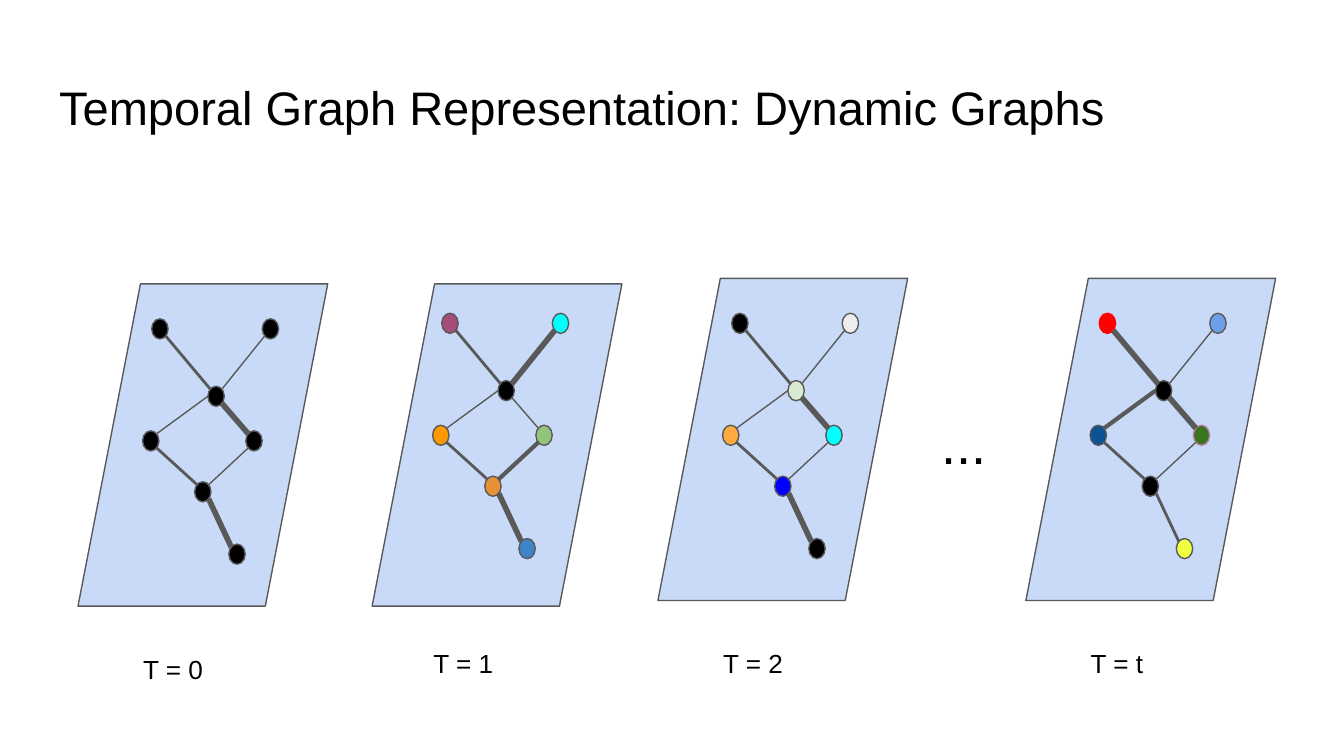
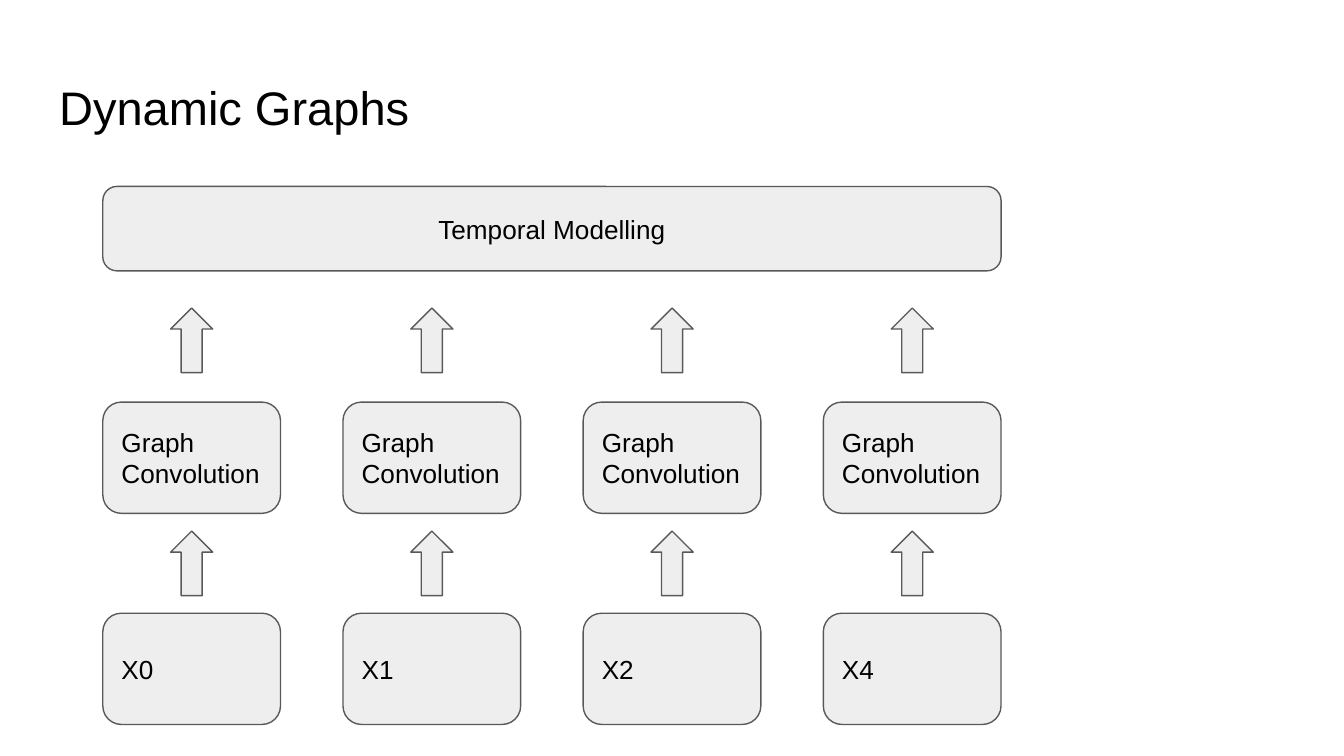
"""Build two slides on dynamic graphs: snapshots over time and the model stack."""
import lxml.etree
import pptx
import pptx.dml.color
import pptx.enum.shapes
import pptx.enum.text
import pptx.oxml.ns
import pptx.util

Pt = pptx.util.Pt
SHAPE = pptx.enum.shapes.MSO_SHAPE
ALIGN = pptx.enum.text.PP_ALIGN
ANCHOR = pptx.enum.text.MSO_ANCHOR
FIT = pptx.enum.text.MSO_AUTO_SIZE

COLORS = {
    "text": "000000", "line": "595959", "panel": "C9DAF8", "box": "EEEEEE",
    "black": "000000", "plum": "A64D79", "cyan": "00FFFF", "orange": "FF9900",
    "copper": "E69138", "green": "93C47D", "steel": "3D85C6", "grey": "EEEEEE",
    "amber": "FFAB40", "mint": "D9EAD3", "blue": "0000FF", "red": "FF0000",
    "sky": "6D9EEB", "navy": "0B5394", "forest": "38761D", "pink": "C27BA0",
    "yellow": "EEFF41",
}
FRAME = {"word_wrap": True, "margin_left": Pt(7.2), "margin_right": Pt(7.2),
         "margin_top": Pt(7.2), "margin_bottom": Pt(7.2)}

NODE_W, NODE_H = 8.8, 10.8
NODES = [(0, 0), (59.2, 0), (-4.9, 60), (30.1, 36.1), (23, 87.3), (50.4, 60), (41.3, 120.7)]
SITES = {"tl": (0.15, 0.15), "tr": (0.85, 0.15), "bl": (0.15, 0.85),
         "br": (0.85, 0.85), "left": (0, 0.5)}
EDGES = [(0, "br", 3, "tl"), (3, "br", 5, "tl"), (3, "tr", 1, "bl"), (3, "left", 2, "tr"),
         (2, "br", 4, "tl"), (5, "bl", 4, "tr"), (4, "br", 6, "tl")]
SNAPSHOTS = [
    ("T = 0", (41.8, 152.1), (81.3, 170.8), ["black"] * 7,
     [1.5, 3, 0.75, 0.75, 1.5, 0.75, 3], {}),
    ("T = 1", (199.4, 152.1), (236.7, 167.8),
     ["plum", "cyan", "orange", "black", "copper", "green", "steel"],
     [1.5, 0.75, 3, 0.75, 1.5, 2.25, 3], {}),
    ("T = 2", (352.5, 149.1), (392, 167.8),
     ["black", "grey", "amber", "mint", "blue", "cyan", "black"],
     [1.5, 3, 0.75, 0.75, 1.5, 0.75, 3], {}),
    ("T = t", (549.6, 149.1), (588.9, 167.8),
     ["red", "sky", "navy", "black", "black", "forest", "yellow"],
     [3, 3, 0.75, 2.25, 1.5, 0.75, 1.5], {0: "red", 5: "pink"}),
]


def rgb(name):
    return pptx.dml.color.RGBColor.from_string(COLORS[name])


def assign(obj, values):
    for name, value in values.items():
        setattr(obj, name, value)


class Deck:
    """Hold the shared style and the current slide, and draw its elements."""

    def __init__(self, width, height):
        self.prs = pptx.Presentation()
        assign(self.prs, {"slide_width": Pt(width), "slide_height": Pt(height)})

    def slide(self, title):
        self.s = self.prs.slides.add_slide(self.prs.slide_layouts[5])
        self.shapes = self.s.shapes
        sp = self.s.shapes.title
        assign(sp, {"left": Pt(24.5), "top": Pt(35), "width": Pt(671), "height": Pt(45.1)})
        self.set_text(sp, title, 25.2, anchor=ANCHOR.TOP)

    def group(self):
        self.shapes = self.s.shapes.add_group_shape().shapes

    def ungroup(self):
        self.shapes = self.s.shapes

    def set_text(self, sp, text, size=14, align=ALIGN.LEFT, anchor=ANCHOR.MIDDLE, fit=FIT.NONE):
        tf = sp.text_frame
        assign(tf, {**FRAME, "vertical_anchor": anchor, "auto_size": fit})
        p = tf.paragraphs[0]
        p.alignment = align
        r = p.add_run()
        r.text = text
        assign(r.font, {"name": "Arial", "size": Pt(size)})
        r.font.color.rgb = rgb("text")

    def shape(self, kind, x, y, w, h, fill, line="line"):
        sp = self.shapes.add_shape(kind, Pt(x), Pt(y), Pt(w), Pt(h))
        sp.shadow.inherit = False
        sp.fill.solid()
        sp.fill.fore_color.rgb = rgb(fill)
        sp.line.color.rgb = rgb(line)
        sp.line.width = Pt(0.75)
        return sp

    def box(self, text, x, y, w, h, align=ALIGN.LEFT):
        sp = self.shape(SHAPE.FLOWCHART_ALTERNATE_PROCESS, x, y, w, h, "box")
        self.set_text(sp, text, align=align)

    def label(self, text, x, y, w, h, size=14):
        sp = self.shapes.add_textbox(Pt(x), Pt(y), Pt(w), Pt(h))
        self.set_text(sp, text, size, anchor=ANCHOR.TOP, fit=FIT.SHAPE_TO_FIT_TEXT)

    def edge(self, start, end, width):
        c = self.shapes.add_connector(pptx.enum.shapes.MSO_CONNECTOR.STRAIGHT,
                                      *(Pt(v) for v in (*start, *end)))
        c.line.color.rgb = rgb("line")
        c.line.width = Pt(width)
        lxml.etree.SubElement(c._element.spPr, pptx.oxml.ns.qn("a:effectLst"))

    def snapshot(self, text, panel, origin, fills, widths, outlines):
        x, y = origin

        def site(node, name):
            (dx, dy), (fx, fy) = NODES[node], SITES[name]
            return x + dx + fx * NODE_W, y + dy + fy * NODE_H

        self.group()
        self.shape(SHAPE.PARALLELOGRAM, *panel, 133.8, 172.6, "panel")
        for i, ((dx, dy), fill) in enumerate(zip(NODES, fills)):
            self.shape(SHAPE.OVAL, x + dx, y + dy, NODE_W, NODE_H, fill, outlines.get(i, "line"))
        for (a, a_site, b, b_site), width in zip(EDGES, widths):
            self.edge(site(a, a_site), site(b, b_site), width)
        self.label(text, x - 11.7, y + 172, 70.6, 31.7)
        self.ungroup()


def main():
    deck = Deck(720, 405)

    deck.slide("Temporal Graph Representation: Dynamic Graphs")
    for snapshot in SNAPSHOTS:
        deck.snapshot(*snapshot)
    deck.label("...", 497.5, 212.4, 56.9, 49.7, 29)

    deck.slide("Dynamic Graphs")
    left, total, box_w, box_h, arrow_w, arrow_h = 55.1, 481.2, 95.2, 59.6, 22.6, 34.6
    inputs = ["X0", "X1", "X2", "X4"]
    step = (total - box_w) / (len(inputs) - 1)
    for i, name in enumerate(inputs):
        x = left + i * step
        deck.box("Graph Convolution", x, 215.4, box_w, box_h)
        deck.box(name, x, 328.5, box_w, box_h)
        for y in (284.5, 165):
            deck.shape(SHAPE.UP_ARROW, x + (box_w - arrow_w) / 2, y, arrow_w, arrow_h, "box")
    deck.box("Temporal Modelling", left, 99.9, total, 45.2, ALIGN.CENTER)

    deck.prs.save("out.pptx")


if __name__ == "__main__":
    main()
